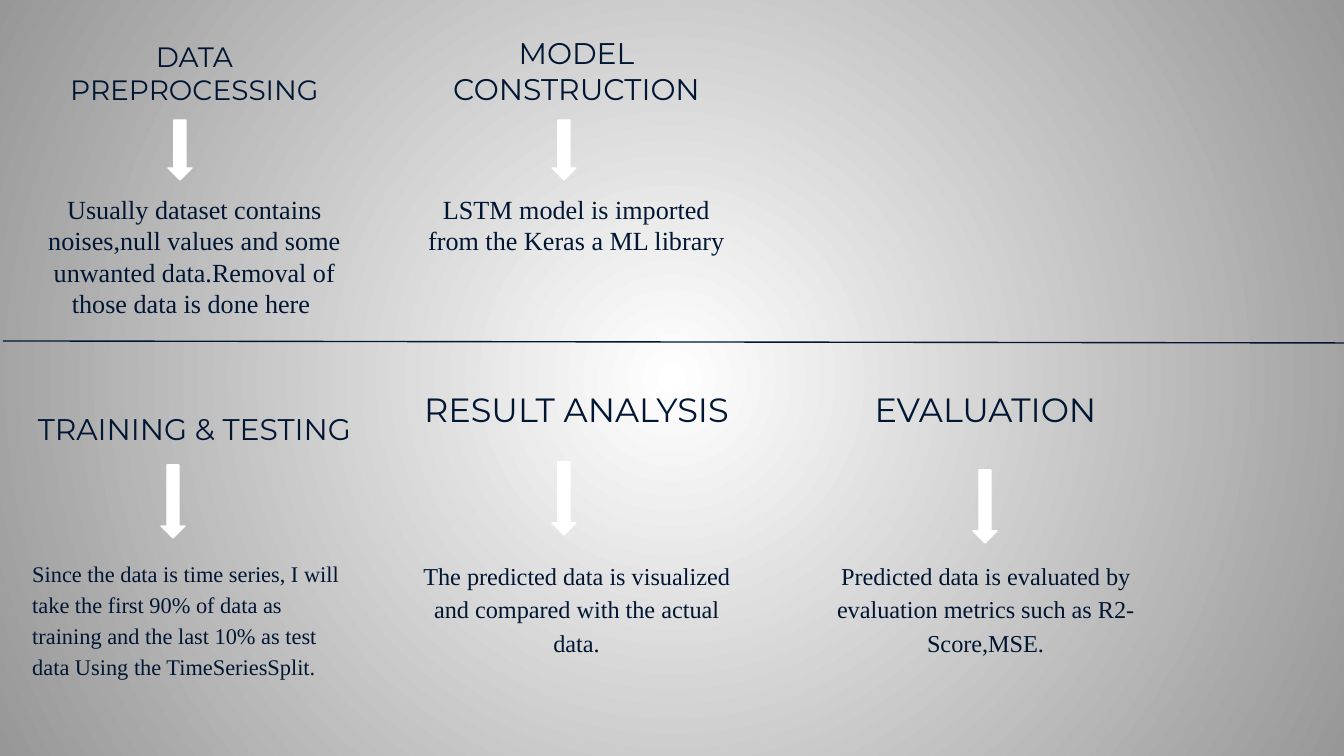
import dataclasses

import lxml.etree
import pptx
import pptx.dml.color
import pptx.enum.shapes
import pptx.enum.text
import pptx.oxml
import pptx.oxml.ns
import pptx.util

RGB = pptx.dml.color.RGBColor.from_string
ALIGN = pptx.enum.text.PP_ALIGN
ANCHOR = pptx.enum.text.MSO_ANCHOR
SCALE = 914400 / 134.4


@dataclasses.dataclass(frozen=True)
class Theme:
    ink: str = "001633"
    light: str = "FFFFFF"
    edge: str = "979797"
    heading_font: str = "Montserrat"
    body_font: str = "Times New Roman"
    heading_small: int = 15
    heading_medium: int = 16
    heading_large: int = 18
    body_small: int = 12
    body_medium: int = 13
    body_large: int = 14
    line: float = 0.75


THEME = Theme()
COLUMNS = (19, 401, 810)
COLUMN_WIDTH = 351
HEADING_HEIGHT = 81
BODY_HEIGHT = 181
UPPER_BODY = 180
LOWER_BODY = 543
ARROW_WIDTH = 24
UPPER_ARROW = 60
LOWER_ARROW = 73


def px(length):
    return pptx.util.Emu(round(length * SCALE))


def paint_background(page):
    fill = page.background.fill
    fill.gradient()
    for stop, position, color in zip(fill.gradient_stops, (0, 1), (THEME.light, THEME.edge)):
        stop.position = position
        stop.color.rgb = RGB(color)
    gradient = page.element.xpath(".//p:bg//a:gradFill")[0]
    for linear in gradient.findall(pptx.oxml.ns.qn("a:lin")):
        gradient.remove(linear)
    center = dict.fromkeys("ltrb", "50000")
    path = lxml.etree.SubElement(gradient, pptx.oxml.ns.qn("a:path"), {"path": "circle"})
    lxml.etree.SubElement(path, pptx.oxml.ns.qn("a:fillToRect"), center)


def add_text(page, text, *, left, top, height, font, size,
             anchor=ANCHOR.TOP, align=ALIGN.CENTER, spacing=1.0):
    box = page.shapes.add_textbox(px(left), px(top), px(COLUMN_WIDTH), px(height))
    frame = box.text_frame
    frame.word_wrap = True
    frame.vertical_anchor = anchor
    for side in ("left", "top", "right", "bottom"):
        setattr(frame, f"margin_{side}", pptx.util.Inches(0.1))
    frame.text = text
    for para in frame.paragraphs:
        para.alignment = align
        para.line_spacing = spacing
        for span in para.runs:
            span.font.name = font
            span.font.size = pptx.util.Pt(size)
            span.font.color.rgb = RGB(THEME.ink)


def add_heading(page, text, left, top, size):
    add_text(page, text, left=left, top=top, height=HEADING_HEIGHT,
             font=THEME.heading_font, size=size, anchor=ANCHOR.BOTTOM)


def add_body(page, text, left, top, size, **layout):
    add_text(page, text, left=left, top=top, height=BODY_HEIGHT,
             font=THEME.body_font, size=size, **layout)


def add_down_arrow(page, left, top, height):
    arrow = page.shapes.add_shape(pptx.enum.shapes.MSO_SHAPE.DOWN_ARROW,
                                  px(left), px(top), px(ARROW_WIDTH), px(height))
    arrow.shadow.inherit = False
    arrow.fill.solid()
    arrow.fill.fore_color.rgb = RGB(THEME.light)
    arrow.line.color.rgb = RGB(THEME.light)
    arrow.line.width = pptx.util.Pt(THEME.line)


def add_divider(page, start, end):
    divider = page.shapes.add_connector(pptx.enum.shapes.MSO_CONNECTOR.STRAIGHT,
                                        *map(px, start + end))
    divider.line.color.rgb = RGB(THEME.ink)
    divider.line.width = pptx.util.Pt(THEME.line)
    properties = divider.element.find(pptx.oxml.ns.qn("p:spPr"))
    lxml.etree.SubElement(properties, pptx.oxml.ns.qn("a:effectLst"))


def main():
    deck = pptx.Presentation()
    deck.slide_width, deck.slide_height = px(1344), px(756)
    page = deck.slides.add_slide(deck.slide_layouts[6])
    paint_background(page)

    first, second, third = COLUMNS
    for text, left, top, size in (
        ("DATA PREPROCESSING", first, 39, THEME.heading_small),
        ("MODEL CONSTRUCTION", second, 39, THEME.heading_medium),
        ("TRAINING & TESTING", first, 379, THEME.heading_medium),
        ("RESULT ANALYSIS", second, 362, THEME.heading_large),
        ("EVALUATION", third, 362, THEME.heading_large),
    ):
        add_heading(page, text, left, top, size)

    for text, left in (
        ("Usually dataset contains\nnoises,null values and some unwanted data."
         "Removal of those data is done here ", first),
        ("LSTM model is imported from the Keras a ML library", second),
    ):
        add_body(page, text, left, UPPER_BODY, THEME.body_large)

    for text, left, size, align in (
        ("Since the data is time series, I will take the first 90% of data as training "
         "and the last 10% as test data Using the TimeSeriesSplit.",
         first, THEME.body_small, ALIGN.LEFT),
        ("The predicted data is visualized and compared with the actual data.",
         second, THEME.body_medium, ALIGN.CENTER),
        ("Predicted data is evaluated by evaluation metrics such as R2-Score,MSE.",
         third, THEME.body_medium, ALIGN.CENTER),
    ):
        add_body(page, text, left, LOWER_BODY, size, align=align, spacing=1.15)

    for left, top, height in (
        (168, 120, UPPER_ARROW),
        (552, 120, UPPER_ARROW),
        (161, 465, LOWER_ARROW),
        (552, 462, LOWER_ARROW),
        (973, 470, LOWER_ARROW),
    ):
        add_down_arrow(page, left, top, height)

    add_divider(page, (3, 341), (1359, 343))
    deck.save("out.pptx")


if __name__ == "__main__":
    main()
